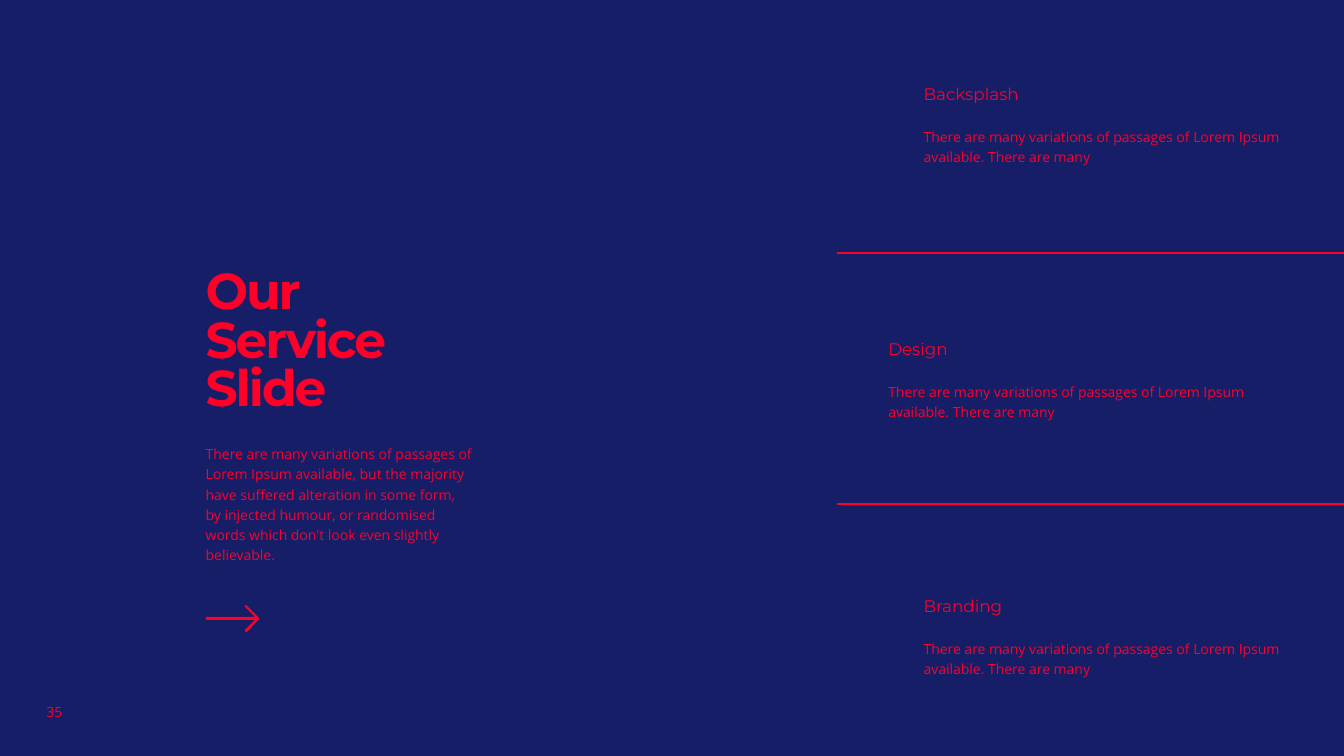
import pptx
import pptx.dml.color
import pptx.enum.shapes
import pptx.enum.text
import pptx.oxml.ns
import pptx.oxml.xmlchemy
import pptx.util
from lxml import etree
from pptx.util import Inches

NAVY = "151E67"
RED = "FF0028"
BODY_FONT = "Open Sans"
HEAD_FONT = "Montserrat"
SERVICE_TEXT = "There are many variations of passages of Lorem Ipsum available. There are many"
INTRO_TEXT = (
    "There are many variations of passages of Lorem Ipsum available, but the majority "
    "have suffered alteration in some form, by injected humour, or randomised words "
    "which don't look even slightly believable."
)
SERVICES = [("Backsplash", 9.16, 0.84), ("Design", 8.81, 3.37), ("Branding", 9.16, 5.92)]
DIVIDERS = [2.51, 5]
ARROW_OUTLINE = [
    (2.57, 6.13), (2.45, 6.01), (2.44, 6), (2.43, 6.01), (2.43, 6.02), (2.53, 6.12),
    (2.05, 6.12), (2.04, 6.13), (2.04, 6.14), (2.05, 6.15), (2.53, 6.15), (2.43, 6.25),
    (2.43, 6.26), (2.44, 6.27), (2.45, 6.27), (2.57, 6.14),
]


def color(code):
    """Return the colour for a hex string."""
    return pptx.dml.color.RGBColor.from_string(code)


def add_text(page, text, place, size=10, family=BODY_FONT, leading=1.2, top_inset=0.05):
    """Add a wrapped red text box without side insets and return it."""
    box = page.shapes.add_textbox(*[Inches(length) for length in place])
    frame = box.text_frame
    frame.word_wrap = True
    frame.margin_left = frame.margin_right = 0
    frame.margin_top = Inches(top_inset)
    para = frame.paragraphs[0]
    para.text = text
    para.line_spacing = leading
    para.font.size = pptx.util.Pt(size)
    para.font.name = family
    para.font.color.rgb = color(RED)
    return box


def add_title(page):
    """Add the bold, tightly tracked title."""
    box = add_text(page, "Our\vService\vSlide", (2.04, 2.48, 3.27, 1.77),
                   36, HEAD_FONT, 0.8, 0.21)
    box.text_frame.margin_bottom = 0
    para = box.text_frame.paragraphs[0]
    para.font.bold = True
    para._p.pPr.find(pptx.oxml.ns.qn("a:defRPr")).set("spc", "-150")


def add_service(page, name, left, top):
    """Add a service heading with its description below."""
    add_text(page, name, (left, top, 3.55, 0.25), 12, HEAD_FONT, 0.7)
    add_text(page, SERVICE_TEXT, (left, top + 0.35, 3.55, 0.5))


def add_divider(page, top):
    """Add a thin line running to the right edge."""
    line = page.shapes.add_connector(
        pptx.enum.shapes.MSO_CONNECTOR.STRAIGHT,
        Inches(8.3), Inches(top), Inches(13.33), Inches(top))
    line.line.color.rgb = color(RED)
    line.line.width = pptx.util.Pt(1)
    etree.SubElement(line._element.spPr, pptx.oxml.ns.qn("a:effectLst"))


def add_arrow(page):
    """Add the filled arrow outline."""
    points = [(Inches(across), Inches(down)) for across, down in ARROW_OUTLINE]
    builder = page.shapes.build_freeform(*points[0])
    builder.add_line_segments(points[1:], close=True)
    arrow = builder.convert_to_shape()
    arrow.shadow.inherit = False
    arrow.fill.solid()
    arrow.fill.fore_color.rgb = color(RED)
    arrow.line.fill.background()


def main():
    """Build and save the service slide."""
    deck = pptx.Presentation()
    deck.slide_width, deck.slide_height = Inches(13.33), Inches(7.5)
    page = deck.slides.add_slide(deck.slide_layouts[6])
    page.background.fill.solid()
    page.background.fill.fore_color.rgb = color(NAVY)

    number = add_text(page, "35", (0.26, 6.93, 0.56, 0.25), leading=1)
    number.text_frame.paragraphs[0].alignment = pptx.enum.text.PP_ALIGN.CENTER
    add_title(page)
    add_text(page, INTRO_TEXT, (2.04, 4.34, 2.64, 1.31))
    add_arrow(page)
    for top in DIVIDERS:
        add_divider(page, top)
    for name, left, top in SERVICES:
        add_service(page, name, left, top)
    deck.save("out.pptx")


if __name__ == "__main__":
    main()
